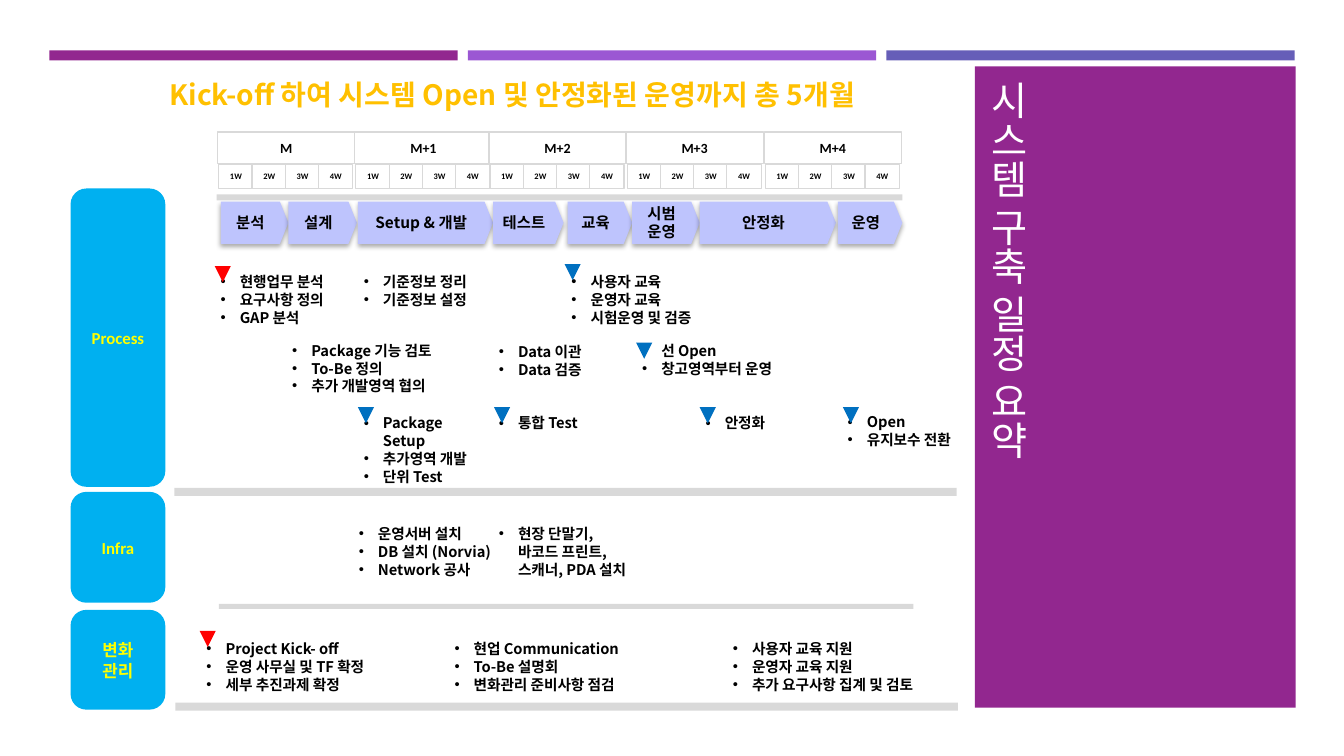
from pptx import Presentation
from pptx.dml.color import RGBColor
from pptx.enum.shapes import MSO_SHAPE
from pptx.enum.text import MSO_ANCHOR, MSO_AUTO_SIZE, PP_ALIGN
from pptx.oxml import parse_xml
from pptx.oxml.ns import nsdecls
from pptx.util import Inches, Pt

KOREAN = "Noto Sans CJK KR"
GREY = "D9D9D9"
RED, BLUE = "FF0000", "0070C0"

presentation = Presentation()
presentation.slide_width = Inches(13.33)
presentation.slide_height = Inches(7.5)
slide = presentation.slides.add_slide(presentation.slide_layouts[6])


def add_shape(preset, place, fill, line=None):
    shape = slide.shapes.add_shape(preset, *map(Inches, place))
    shape.shadow.inherit = False
    shape.fill.solid()
    shape.fill.fore_color.rgb = RGBColor.from_string(fill)
    if line:
        shape.line.color.rgb = RGBColor.from_string(line)
        shape.line.width = Pt(0.85)
    else:
        shape.line.fill.background()
    return shape


def write(shape, lines, size, colour="000000", name=KOREAN, bold=True,
          align=PP_ALIGN.CENTER, spacing=None, bullets=0, **frame_format):
    """Fill a shape with one paragraph per line; the first `bullets` get a dot."""
    frame = shape.text_frame
    for key, value in frame_format.items():
        setattr(frame, key, value)
    for index, line in enumerate(lines):
        paragraph = frame.paragraphs[0] if index == 0 else frame.add_paragraph()
        if bullets:
            properties = paragraph._p.get_or_add_pPr()
            properties.set("marL", str(Inches(0.19)))
            if index < bullets:
                properties.set("indent", str(Inches(-0.19)))
                properties.append(parse_xml(f'<a:buFont {nsdecls("a")} typeface="Arial"/>'))
                properties.append(parse_xml(f'<a:buChar {nsdecls("a")} char="•"/>'))
        paragraph.alignment = align
        if spacing:
            paragraph.line_spacing = Pt(spacing)
        run = paragraph.add_run()
        run.text = line
        for key, value in {"size": Pt(size), "bold": bold, "name": name}.items():
            setattr(run.font, key, value)
        run.font.color.rgb = RGBColor.from_string(colour)
        run._r.get_or_add_rPr().append(
            parse_xml(f'<a:ea {nsdecls("a")} typeface="{KOREAN}"/>'))


# Top bars and side panel with the vertical title
for index, colour in enumerate(["92278F", "9B57D3", "665EB8"]):
    add_shape(MSO_SHAPE.RECTANGLE, (0.49 + 4.15 * index, 0.5, 4.05, 0.1), colour)
add_shape(MSO_SHAPE.RECTANGLE, (9.67, 0.66, 3.18, 6.36), "92278F")
title = slide.shapes.add_textbox(*map(Inches, (9.72, 0.71, 2.19, 5.67)))
write(title, ["시스템 구축 일정 요약"], 28, "FFFFFF", bold=False, align=PP_ALIGN.LEFT,
      word_wrap=True, vertical_anchor=MSO_ANCHOR.BOTTOM)
title.text_frame._txBody.bodyPr.set("vert", "eaVert")

# Row labels
for top, height, lines in [(1.87, 2.96, ["Process"]), (4.88, 1.1, ["Infra"]),
                           (6.05, 0.99, ["변화", "관리"])]:
    label = add_shape(MSO_SHAPE.ROUNDED_RECTANGLE, (0.7, top, 0.94, height), "00B0F0")
    write(label, lines, 12, "FFFF00", "Calibri", spacing=15,
          vertical_anchor=MSO_ANCHOR.MIDDLE)

# Phase arrows
phases = [
    (2.19, 0.67, ["분석"]), (2.86, 0.68, ["설계"]), (3.55, 1.34, ["Setup & 개발"]),
    (4.89, 0.7, ["테스트"]), (5.63, 0.64, ["교육"]), (6.27, 0.67, ["시범", "운영"]),
    (6.94, 1.35, ["안정화"]), (8.31, 0.64, ["운영"]),
]
for left, width, lines in phases:
    arrow = add_shape(MSO_SHAPE.RIGHT_ARROW, (left, 2, width, 0.42), "BEC4FD")
    arrow.adjustments[0] = 1
    arrow.adjustments[1] = 0.2
    arrow._element.spPr.find("{*}effectLst").append(parse_xml(
        f'<a:outerShdw {nsdecls("a")} blurRad="{Pt(3.5)}" dist="{Pt(2.2)}" dir="5400000">'
        '<a:srgbClr val="000000"><a:alpha val="32000"/></a:srgbClr></a:outerShdw>'))
    write(arrow, lines, 11, spacing=13, word_wrap=False, margin_left=0, margin_right=0,
          vertical_anchor=MSO_ANCHOR.MIDDLE)

# Months, each with four weeks
for month, left in enumerate([2.16, 3.52, 4.85, 6.21, 7.58]):
    cells = [(left, 1.31, 1.36, 0.31, f"M+{month}" if month else "M", 10)]
    cells += [(left + 0.01 + 0.33 * week, 1.63, 0.34, 0.24, f"{week + 1}W", 6)
              for week in range(4)]
    for *place, text, size in cells:
        cell = add_shape(MSO_SHAPE.RECTANGLE, place, "FFFFFF", GREY)
        write(cell, [text], size, name="Calibri", vertical_anchor=MSO_ANCHOR.MIDDLE)

# Grey dividers
for place in [(2.15, 1.93, 6.8, 0.06), (1.73, 4.84, 7.76, 0.08),
              (2.17, 5.99, 6.89, 0.05), (1.74, 6.97, 7.76, 0.08)]:
    add_shape(MSO_SHAPE.RECTANGLE, place, GREY)

# Task lists: left, top, width, lines
tasks = [
    (2.09, 2.66, 1.33, ["현행업무 분석", "요구사항 정의", "GAP 분석"]),
    (3.51, 2.66, 1.33, ["기준정보 정리", "기준정보 설정"]),
    (5.57, 2.66, 1.53, ["사용자 교육", "운영자 교육", "시험운영 및 검증"]),
    (2.8, 3.34, 1.67, ["Package 기능 검토", "To-Be 정의", "추가 개발영역 협의"]),
    (4.85, 3.35, 1.07, ["Data 이관", "Data 검증"]),
    (6.27, 3.34, 1.62, ["선 Open", "창고영역부터 운영"]),
    (3.51, 4.06, 1.43, ["Package Setup", "추가영역 개발", "단위 Test"]),
    (4.85, 4.06, 1.03, ["통합 Test"]),
    (6.9, 4.06, 0.83, ["안정화"]),
    (8.31, 4.05, 1.33, ["Open", "유지보수 전환"]),
    (3.46, 5.16, 1.55, ["운영서버 설치", "DB 설치 (Norvia)", "Network 공사"]),
    (4.85, 5.16, 1.76, ["현장 단말기,", "바코드 프린트,", "스캐너, PDA 설치"]),
    (1.95, 6.3, 1.94, ["Project Kick- off", "운영 사무실 및 TF 확정", "세부 추진과제 확정"]),
    (4.41, 6.3, 1.97, ["현업 Communication", "To-Be 설명회", "변화관리 준비사항 점검"]),
    (7.17, 6.3, 2.22, ["사용자 교육 지원", "운영자 교육 지원", "추가 요구사항 집계 및 검토"]),
]
for left, top, width, lines in tasks:
    height = 0.1 + 0.18 * len(lines)
    box = slide.shapes.add_textbox(*map(Inches, (left, top, width, height)))
    one_item = lines[0].endswith(",")
    write(box, lines, 10.5, align=PP_ALIGN.LEFT, spacing=12.65,
          bullets=1 if one_item else len(lines), word_wrap=one_item,
          auto_size=MSO_AUTO_SIZE.SHAPE_TO_FIT_TEXT)

# Milestone markers
for left, top, colour in [
    (2.13, 2.64, RED), (1.98, 6.26, RED), (5.6, 2.62, BLUE), (6.31, 3.4, BLUE),
    (3.55, 4.04, BLUE), (4.9, 4.04, BLUE), (6.94, 4.04, BLUE), (8.36, 4.04, BLUE),
]:
    marker = add_shape(MSO_SHAPE.ISOSCELES_TRIANGLE, (left, top, 0.16, 0.16), colour)
    marker._element.spPr.xfrm.set("flipV", "1")

# Headline
headline = slide.shapes.add_textbox(*map(Inches, (0.63, 0.77, 8.9, 0.34)))
write(headline, ["Kick-off 하여 시스템 Open 및 안정화된 운영까지 총 5개월"], 20, "FFC000",
      spacing=24, word_wrap=True, auto_size=MSO_AUTO_SIZE.SHAPE_TO_FIT_TEXT,
      margin_left=0, margin_right=0, margin_top=0, margin_bottom=0)

presentation.save("out.pptx")
